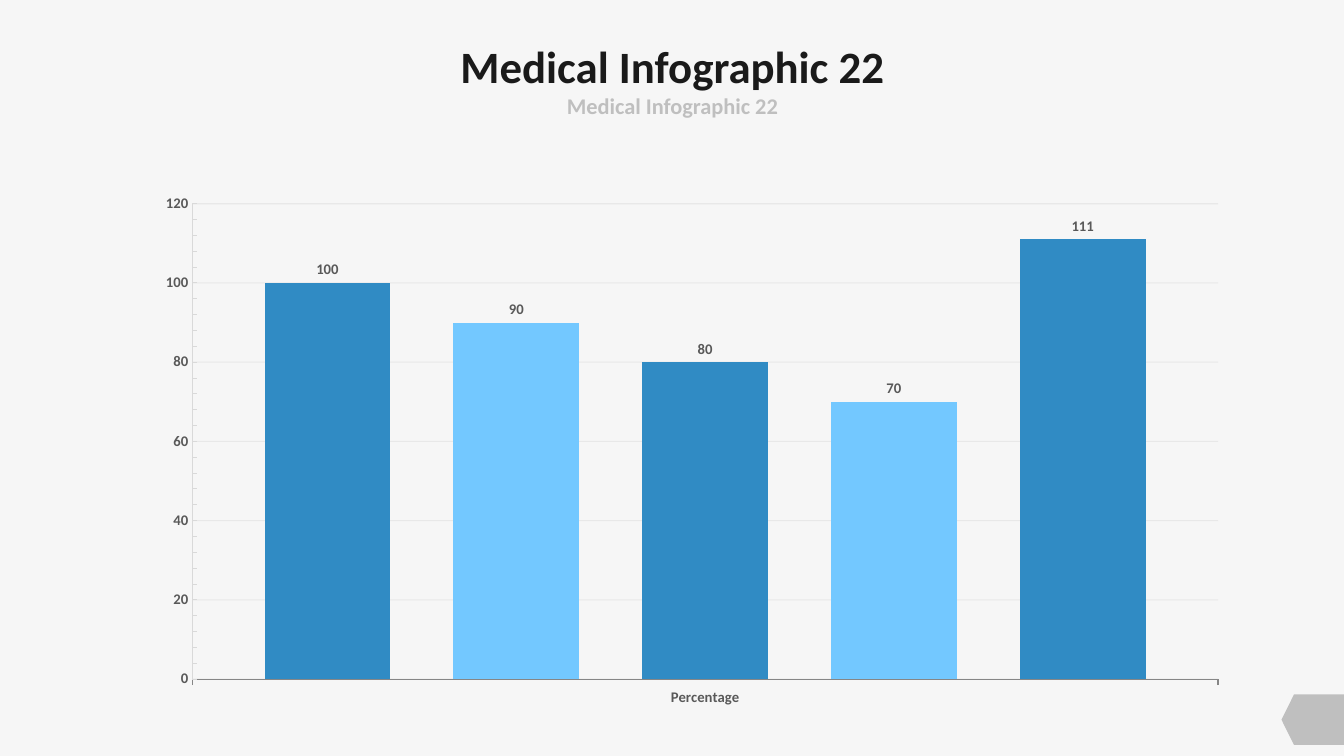
from dataclasses import dataclass

from pptx import Presentation
from pptx.chart.data import CategoryChartData
from pptx.dml.color import RGBColor
from pptx.enum.chart import XL_CHART_TYPE, XL_LABEL_POSITION, XL_TICK_MARK
from pptx.enum.shapes import MSO_SHAPE
from pptx.enum.text import MSO_ANCHOR, PP_ALIGN
from pptx.oxml import parse_xml
from pptx.oxml.ns import nsdecls, qn
from pptx.util import Inches, Pt

COLUMNS = XL_CHART_TYPE.COLUMN_CLUSTERED
ABOVE_BAR = XL_LABEL_POSITION.OUTSIDE_END
TICK_NONE, TICK_IN, TICK_OUT = XL_TICK_MARK.NONE, XL_TICK_MARK.INSIDE, XL_TICK_MARK.OUTSIDE
PAGE_TAB = MSO_SHAPE.FLOWCHART_OFFPAGE_CONNECTOR
MIDDLE, CENTER = MSO_ANCHOR.MIDDLE, PP_ALIGN.CENTER

FONT = "Calibri"
COLORS = {
    "background": "F6F6F6",
    "title": "1A1A1A",
    "muted": "BFBFBF",
    "chart_text": "595959",
    "grid": "D9D9D9",
    "baseline": "868686",
    "dark_bar": "308BC4",
    "light_bar": "73C8FF",
}


@dataclass(frozen=True)
class Heading:
    text: str
    left: float
    top: float
    width: float
    height: float
    size: float
    color: str


@dataclass(frozen=True)
class Bar:
    name: str
    value: int
    color: str


HEADINGS = [
    Heading("Medical Infographic 22", 2.56, 0.39, 8.22, 0.52, 32, "title"),
    Heading("Medical Infographic 22", 3.67, 0.9, 6, 0.29, 16, "muted"),
]
BARS = [
    Bar(f"Series {number}", value, "dark_bar" if number % 2 else "light_bar")
    for number, value in enumerate([100, 90, 80, 70, 111], start=1)
]


def rgb(name: str) -> RGBColor:
    return RGBColor.from_string(COLORS[name])


def apply_format(target, values: dict) -> None:
    for attribute, value in values.items():
        setattr(target, attribute, value)


def set_font(font, size: float, color: str) -> None:
    apply_format(font, {"name": FONT, "size": Pt(size), "bold": True})
    font.color.rgb = rgb(color)


def set_line(line, color: str) -> None:
    line.width = Pt(0.75)
    line.color.rgb = rgb(color)


def add_heading(slide, heading: Heading) -> None:
    box = slide.shapes.add_textbox(
        Inches(heading.left), Inches(heading.top), Inches(heading.width), Inches(heading.height)
    )
    frame = box.text_frame
    apply_format(frame, {
        "word_wrap": True, "vertical_anchor": MIDDLE,
        "margin_left": 0, "margin_top": 0, "margin_right": 0, "margin_bottom": 0,
    })
    paragraph = frame.paragraphs[0]
    paragraph.alignment = CENTER
    run = paragraph.add_run()
    run.text = heading.text
    set_font(run.font, heading.size, heading.color)


def add_page_tab(slide) -> None:
    tab = slide.shapes.add_shape(PAGE_TAB, Inches(12.77), Inches(6.83), Inches(0.5), Inches(0.62))
    tab.rotation = 90
    tab.shadow.inherit = False
    tab.fill.solid()
    tab.fill.fore_color.rgb = rgb("muted")
    tab.line.fill.background()


def add_percentage_chart(slide, bars: list[Bar]) -> None:
    data = CategoryChartData()
    data.categories = ["Percentage"]
    for bar in bars:
        data.add_series(bar.name, [bar.value])
    chart = slide.shapes.add_chart(
        COLUMNS, Inches(1.36), Inches(1.81), Inches(10.94), Inches(5.3), data
    ).chart
    apply_format(chart, {"has_legend": False, "has_title": False})
    set_font(chart.font, 10.5, "chart_text")

    # Bars and their values
    plot = chart.plots[0]
    apply_format(plot, {
        "gap_width": 115, "overlap": -50, "vary_by_categories": False, "has_data_labels": True,
    })
    apply_format(plot.data_labels, {"show_value": True, "position": ABOVE_BAR})
    set_font(plot.data_labels.font, 10.5, "chart_text")
    for series, bar in zip(plot.series, bars):
        series.format.fill.solid()
        series.format.fill.fore_color.rgb = rgb(bar.color)

    # Axes
    apply_format(chart.category_axis, {
        "major_tick_mark": TICK_OUT, "minor_tick_mark": TICK_NONE, "has_major_gridlines": False,
    })
    set_line(chart.category_axis.format.line, "baseline")
    value_axis = chart.value_axis
    apply_format(value_axis, {
        "minimum_scale": 0, "maximum_scale": 120, "major_unit": 20, "minor_unit": 4,
        "major_tick_mark": TICK_NONE, "minor_tick_mark": TICK_IN, "has_major_gridlines": True,
    })
    set_line(value_axis.format.line, "grid")
    set_line(value_axis.major_gridlines.format.line, "grid")

    # Translucent gridlines
    for color in chart.element.xpath(".//c:majorGridlines//a:srgbClr"):
        color.append(parse_xml(f'<a:alpha {nsdecls("a")} val="48000"/>'))

    # Fixed plot area, as fractions of the chart
    plot_area = chart.element.xpath(".//c:plotArea")[0]
    for layout in plot_area.findall(qn("c:layout")):
        plot_area.remove(layout)
    fractions = {"x": 0.05, "y": 0.04, "w": 0.93, "h": 0.89}
    edges = "".join(f'<c:{key}Mode val="edge"/>' for key in "xy")
    extents = "".join(f'<c:{key} val="{value}"/>' for key, value in fractions.items())
    plot_area.insert(0, parse_xml(
        f'<c:layout {nsdecls("c")}><c:manualLayout><c:layoutTarget val="inner"/>'
        f"{edges}{extents}</c:manualLayout></c:layout>"
    ))


def main() -> None:
    presentation = Presentation()
    apply_format(presentation, {"slide_width": Inches(13.33), "slide_height": Inches(7.5)})
    slide = presentation.slides.add_slide(presentation.slide_layouts[6])
    slide.background.fill.solid()
    slide.background.fill.fore_color.rgb = rgb("background")

    add_page_tab(slide)
    for heading in HEADINGS:
        add_heading(slide, heading)
    add_percentage_chart(slide, BARS)
    presentation.save("out.pptx")


if __name__ == "__main__":
    main()
